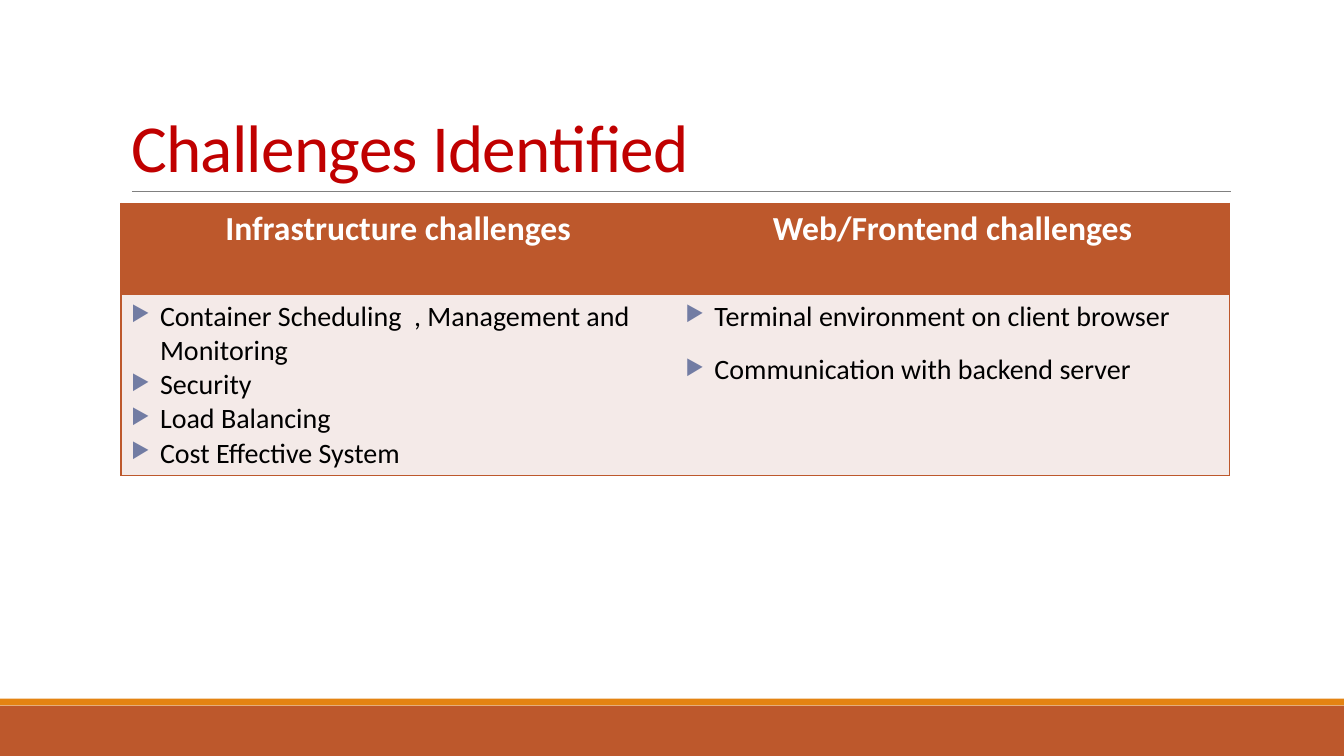
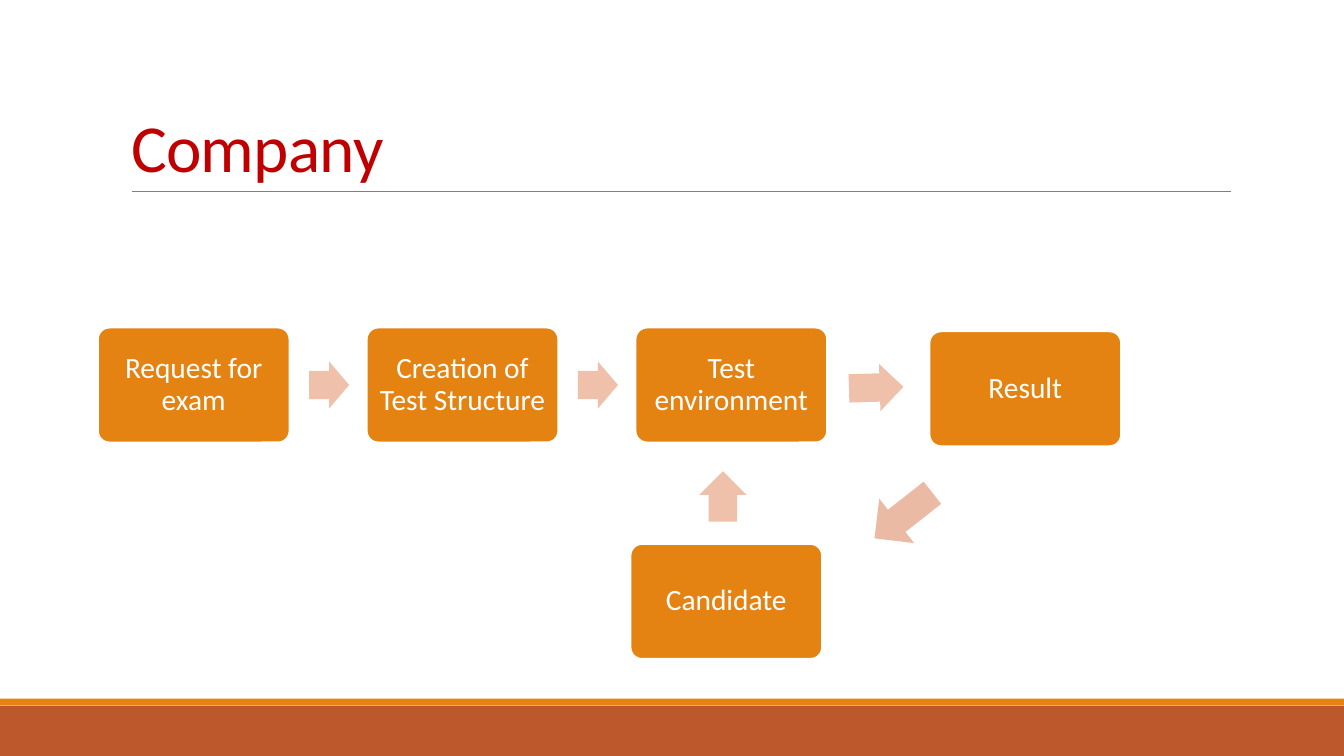
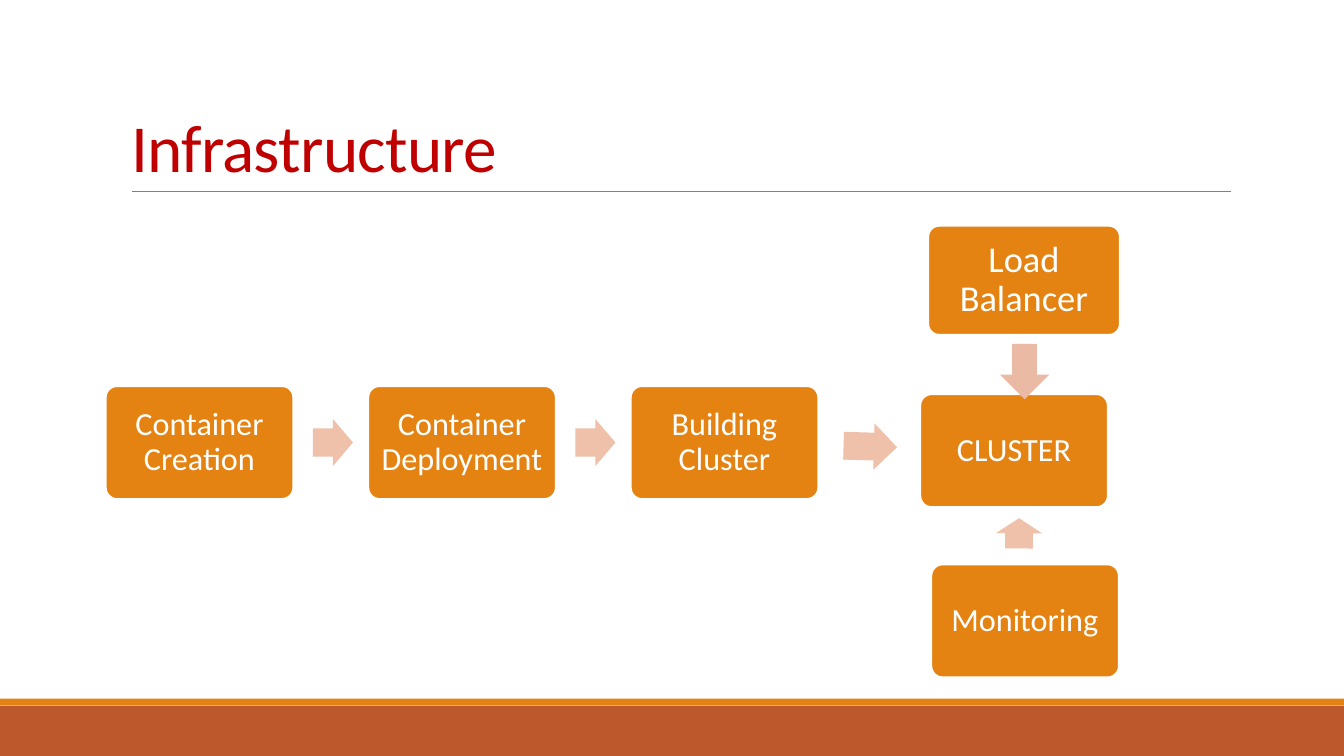
from typing import NamedTuple

from lxml.etree import SubElement
from pptx import Presentation
from pptx.dml.color import RGBColor
from pptx.enum.shapes import MSO_CONNECTOR, MSO_SHAPE
from pptx.enum.text import MSO_ANCHOR, MSO_AUTO_SIZE, PP_ALIGN
from pptx.oxml.ns import qn
from pptx.util import Pt

RUST = RGBColor(0xBD, 0x58, 0x2C)
ORANGE = RGBColor(0xE4, 0x83, 0x12)
PEACH = RGBColor(0xEF, 0xC1, 0xAB)
DARK_PEACH = RGBColor(0xEA, 0xBA, 0xA5)
PALE = RGBColor(0xF4, 0xEA, 0xE8)
TITLE_RED = RGBColor(0xC0, 0x00, 0x00)
BULLET_BLUE = RGBColor(0x72, 0x7C, 0xA3)
GRAY = RGBColor(0x80, 0x80, 0x80)
WHITE = RGBColor(0xFF, 0xFF, 0xFF)
BLACK = RGBColor(0x00, 0x00, 0x00)
FONT = "Calibri"


class Box(NamedTuple):
    """A rectangle in points."""
    left: float
    top: float
    width: float
    height: float

    def shifted(self, across, down):
        return self._replace(left=self.left + across, top=self.top + down)

    def inner(self, across, down, width, height):
        return Box(self.left + across, self.top + down, width, height)

    def lengths(self):
        return [Pt(value) for value in self]


SLIDE = Box(0, 0, 960, 540)
TITLE = Box(86.4, 22.3, 792, 114.5)


def set_font(paragraph, size, color, bold=False):
    font = paragraph.font
    font.name, font.size, font.bold = FONT, Pt(size), bold
    font.color.rgb = color


def add_filled(slide, kind, box, color):
    shape = slide.shapes.add_shape(kind, *box.lengths())
    shape.shadow.inherit = False
    shape.fill.solid()
    shape.fill.fore_color.rgb = color
    shape.line.fill.background()
    return shape


# Shared frame: bottom bands, title and the line under it
def add_titled_slide(presentation, text):
    slide = presentation.slides.add_slide(presentation.slide_layouts[5])
    add_filled(slide, MSO_SHAPE.RECTANGLE, SLIDE.inner(0, 504, SLIDE.width, 36), RUST)
    add_filled(slide, MSO_SHAPE.RECTANGLE, SLIDE.inner(0, 499, SLIDE.width, 4.8), ORANGE)

    rule_top = Pt(TITLE.top + TITLE.height)
    rule = slide.shapes.add_connector(
        MSO_CONNECTOR.STRAIGHT, Pt(94.3), rule_top, Pt(879), rule_top)
    rule.line.color.rgb = GRAY
    rule.line.width = Pt(0.5)
    SubElement(rule._element.spPr, qn("a:effectLst"))

    title = slide.shapes.title
    title.left, title.top, title.width, title.height = TITLE.lengths()
    frame = title.text_frame
    frame.text = text
    frame.auto_size = MSO_AUTO_SIZE.NONE
    frame.vertical_anchor = MSO_ANCHOR.BOTTOM
    paragraph = frame.paragraphs[0]
    paragraph.alignment = PP_ALIGN.LEFT
    paragraph.line_spacing = 0.85
    set_font(paragraph, 48, TITLE_RED)
    paragraph.runs[0]._r.get_or_add_rPr().set("spc", "-50")
    return slide


# Table of challenges
def add_bullet(paragraph):
    properties = paragraph._p.get_or_add_pPr()
    properties.set("marL", str(Pt(20.7)))
    properties.set("indent", str(-Pt(20.7)))
    color = SubElement(properties, qn("a:buClr"))
    SubElement(color, qn("a:srgbClr"), val=str(BULLET_BLUE))
    SubElement(properties, qn("a:buSzPct"), val="76000")
    SubElement(properties, qn("a:buChar"), char="▶")


def style_cell(cell, color, open_side):
    properties = cell._tc.get_or_add_tcPr()
    for side in ("lnL", "lnR", "lnT", "lnB"):
        border = SubElement(properties, qn(f"a:{side}"), w=str(Pt(1)))
        if side == open_side:
            SubElement(border, qn("a:noFill"))
        else:
            fill = SubElement(border, qn("a:solidFill"))
            SubElement(fill, qn("a:srgbClr"), val=str(RUST))
    cell.fill.solid()
    cell.fill.fore_color.rgb = color


def add_challenges(slide, box, columns):
    table = slide.shapes.add_table(2, len(columns), *box.lengths()).table
    table.horz_banding = False
    table.rows[0].height, table.rows[1].height = Pt(64.8), Pt(box.height - 64.8)
    for index, (heading, items, before, after) in enumerate(columns):
        open_side = "lnL" if index else "lnR"
        header, body = table.cell(0, index), table.cell(1, index)
        style_cell(header, RUST, open_side)
        style_cell(body, PALE, open_side)
        header.text = heading
        header.text_frame.paragraphs[0].alignment = PP_ALIGN.CENTER
        set_font(header.text_frame.paragraphs[0], 24, WHITE, bold=True)
        body.text = "\n".join(items)
        for paragraph in body.text_frame.paragraphs:
            add_bullet(paragraph)
            paragraph.space_before, paragraph.space_after = Pt(before), Pt(after)
            set_font(paragraph, 20, BLACK)


# Flow parts
def add_step(slide, box, label, size):
    shape = add_filled(slide, MSO_SHAPE.ROUNDED_RECTANGLE, box, ORANGE)
    shape.adjustments[0] = 0.1
    shape.line.color.rgb = WHITE
    shape.line.width = Pt(1.25)
    frame = shape.text_frame
    frame.word_wrap = True
    frame.vertical_anchor = MSO_ANCHOR.MIDDLE
    frame.margin_left = frame.margin_right = Pt(6)
    frame.text = label
    paragraph = frame.paragraphs[0]
    paragraph.alignment = PP_ALIGN.CENTER
    paragraph.line_spacing = 0.9
    set_font(paragraph, size, WHITE)


def add_arrow(slide, box, rotation=0):
    arrow = add_filled(slide, MSO_SHAPE.RIGHT_ARROW, box, PEACH)
    arrow.adjustments[0] = 0.6
    arrow.rotation = rotation


def add_down_arrow(slide, box, rotation=0):
    add_filled(slide, MSO_SHAPE.DOWN_ARROW, box, DARK_PEACH).rotation = rotation


def add_step_row(slide, first, pitch, labels, size):
    """Draws evenly spaced steps with arrows between; returns the last box."""
    for index, label in enumerate(labels):
        box = first.shifted(index * pitch, 0)
        add_step(slide, box, label, size)
        if index < len(labels) - 1:
            add_arrow(slide, box.inner(box.width + 14, (box.height - 33.6) / 2, 28.6, 33.6))
    return box


def add_company_flow(slide, first):
    size = 21
    test = add_step_row(slide, first, 192, [
        "Request for exam", "Creation of Test Structure", "Test environment"], size)
    add_arrow(slide, test.inner(152.4, 26, 38.9, 33.8), 358.3)
    add_step(slide, test.shifted(210, 2.7), "Result", size)
    add_arrow(slide, test.inner(44.4, 103.7, 36, 33.8), 270.3)
    add_step(slide, test.shifted(-3.6, 154.6), "Candidate", size)
    add_down_arrow(slide, test.inner(171.2, 108, 40.3, 52.6), 51.8)


def add_infrastructure_flow(slide, first):
    size = 23
    building = add_step_row(slide, first, 187.5, [
        "Container Creation", "Container Deployment", "Building Cluster"], size)
    add_arrow(slide, building.inner(152, 26.6, 38.2, 33.1), 1.6)
    cluster = building.shifted(206.8, 5.8)
    add_step(slide, cluster, "CLUSTER", size)
    add_arrow(slide, cluster.inner(59.7, 82.8, 21.6, 33.1), 270.3)
    add_step(slide, cluster.shifted(7.9, 121.6), "Monitoring", size)
    add_step(slide, cluster.inner(5.7, -120.3, 136.8, 77.8), "Load Balancer", 26)
    add_down_arrow(slide, cluster.inner(56.8, -36, 35.3, 39.6))


presentation = Presentation()
presentation.slide_width, presentation.slide_height = Pt(SLIDE.width), Pt(SLIDE.height)

# Heading, items, space before and after each item
add_challenges(
    add_titled_slide(presentation, "Challenges Identified"),
    Box(86.4, 145.4, 792, 191.5),
    [
        ("Infrastructure challenges",
         ["Container Scheduling  , Management and Monitoring", "Security",
          "Load Balancing", "Cost Effective System"], 0, 0),
        ("Web/Frontend challenges",
         ["Terminal environment on client browser",
          "Communication with backend server"], 12, 2),
    ])
add_company_flow(add_titled_slide(presentation, "Company"), Box(70, 234, 136.8, 82))
add_infrastructure_flow(
    add_titled_slide(presentation, "Infrastructure"), Box(75.6, 275.8, 133.9, 80.6))

presentation.save("out.pptx")
